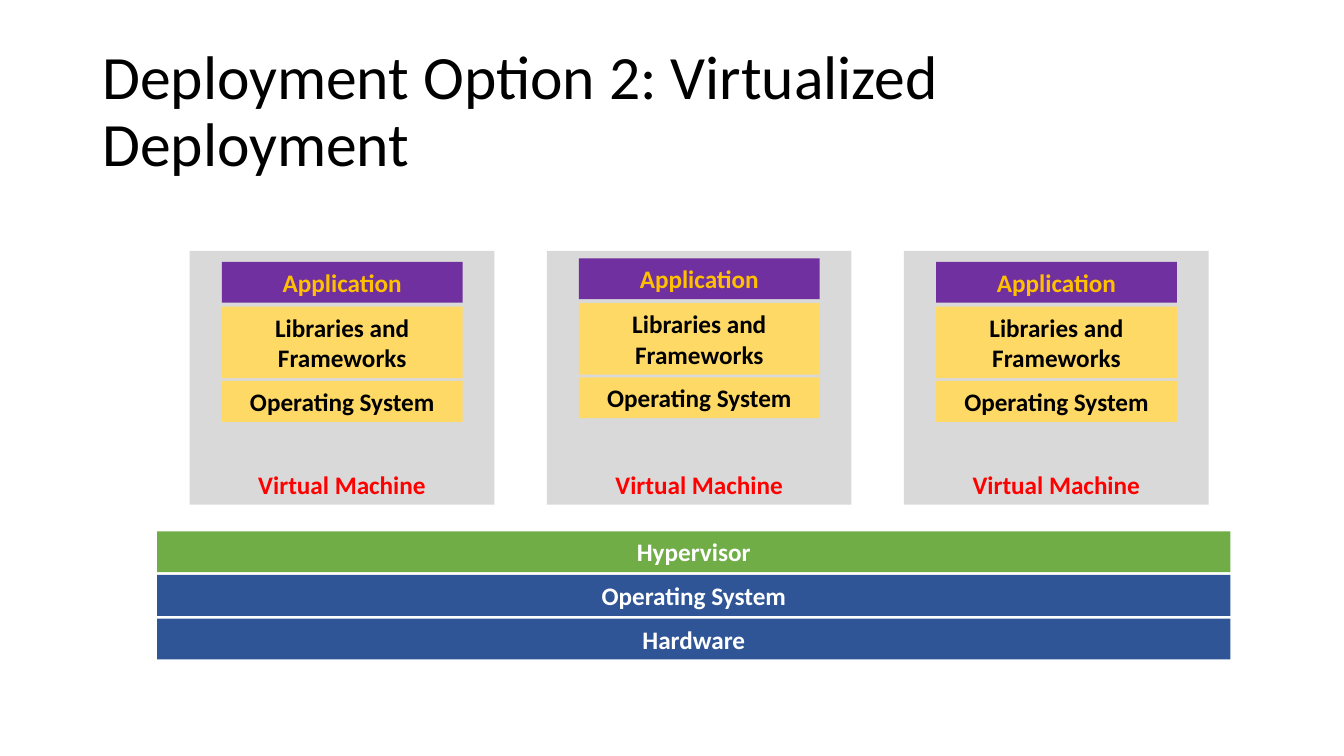
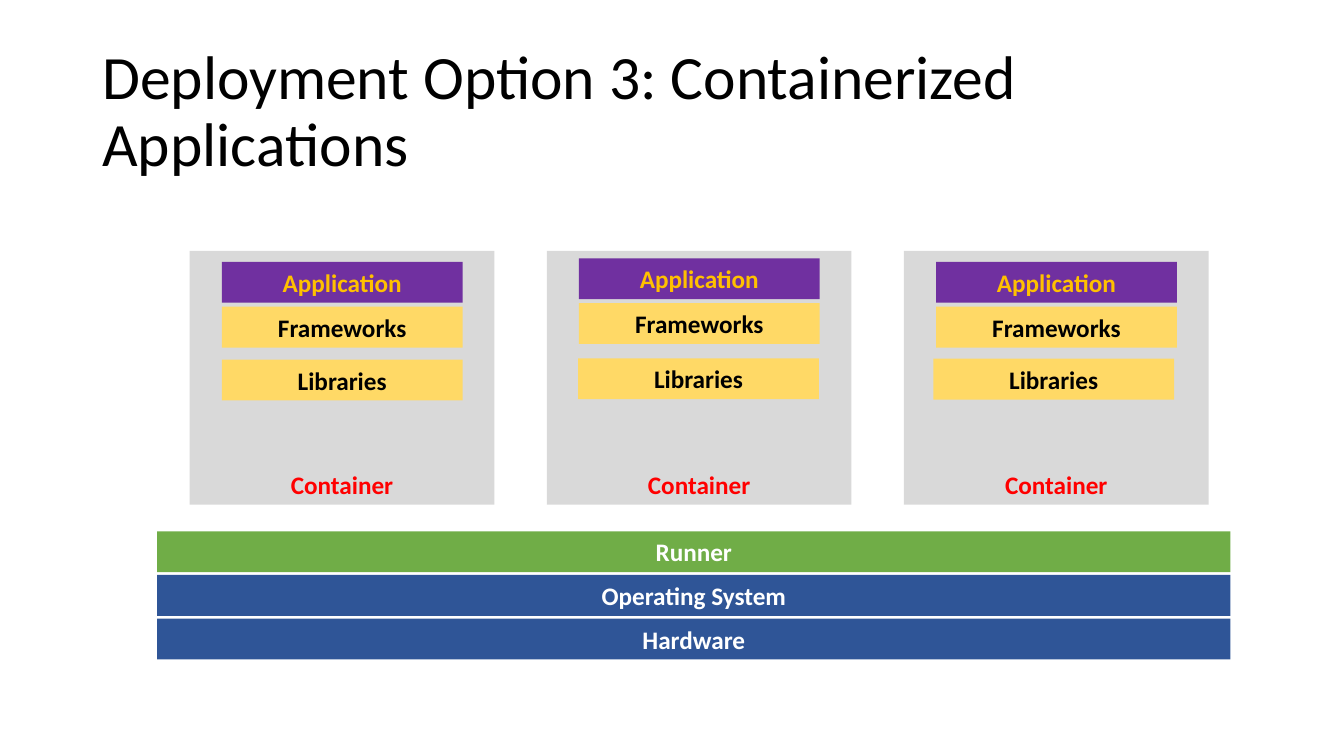
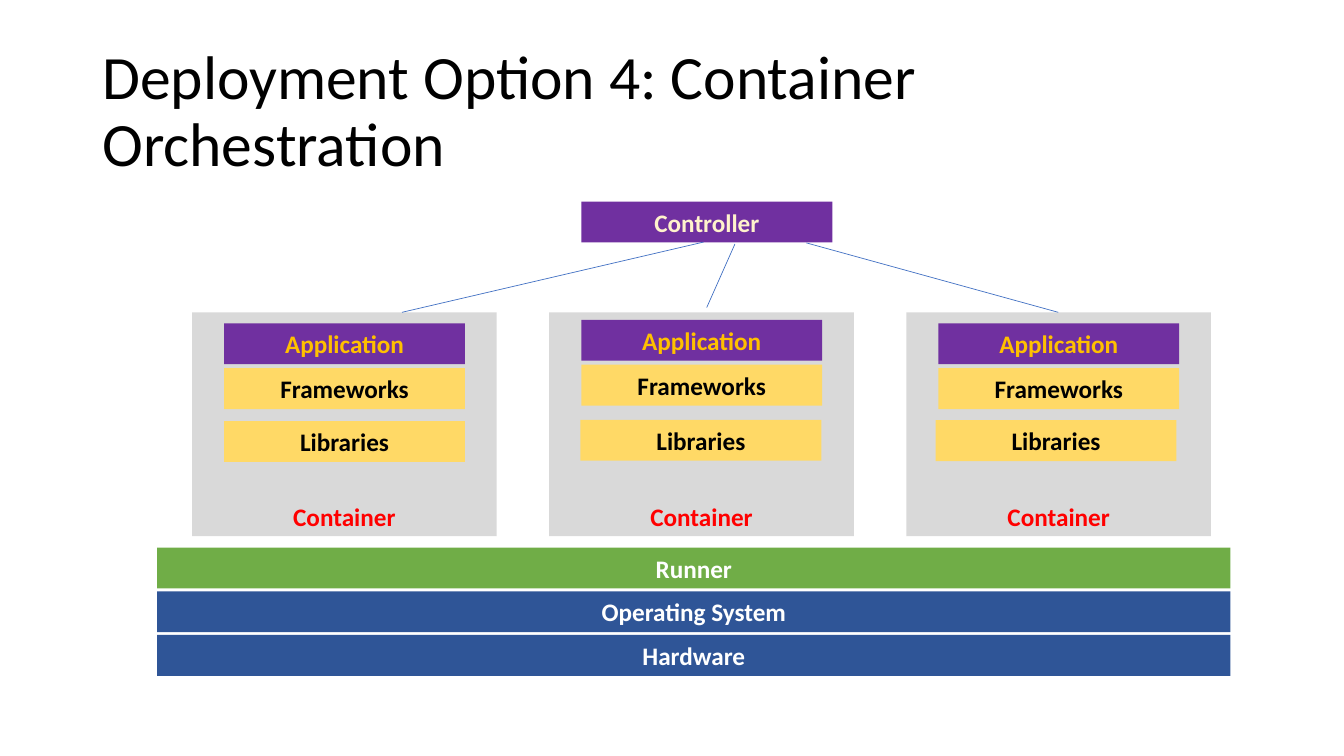
from dataclasses import dataclass

import lxml.etree
import pptx
import pptx.dml.color
import pptx.enum.shapes
import pptx.enum.text
import pptx.oxml.ns
import pptx.shapes.autoshape
import pptx.shapes.shapetree
import pptx.slide
import pptx.util
from pptx.util import Cm

Shapes = pptx.shapes.shapetree.SlideShapes | pptx.shapes.shapetree.GroupShapes
Point = tuple[float, float]


@dataclass(frozen=True)
class Theme:
    font: str = "Calibri"
    title_size: float = 44
    label_size: float = 18
    line_width: float = 0.5
    black: str = "000000"
    white: str = "FFFFFF"
    blue: str = "2F5597"
    green: str = "70AD47"
    grey: str = "D9D9D9"
    purple: str = "7030A0"
    yellow: str = "FFD966"
    gold: str = "FFC000"
    cream: str = "FFF2CC"
    red: str = "FF0000"
    line: str = "4472C4"


@dataclass(frozen=True)
class Box:
    left: float
    top: float
    width: float
    height: float


@dataclass(frozen=True)
class Layer:
    text: str
    offset: float
    height: float
    fill: str
    color: str
    nudges: tuple[Point, ...] = ((0, 0), (0, 0), (0, 0))


@dataclass(frozen=True)
class Deployment:
    title: str
    panel_label: str
    layers: tuple[Layer, ...]
    platform: str
    first_panel: Box
    platform_top: float


@dataclass(frozen=True)
class Link:
    start: Point
    end: Point


THEME = Theme()
TITLE_BOX = Box(2.33, 1.01, 29.21, 3.68)
BAR_HEIGHT = 1.03
BAR_LEFT, BAR_WIDTH, BAR_PITCH = 3.96, 27.05, 1.1
PANEL_PITCH = 9.0
PANEL_LIFTS = (0, 0.09, 0)
LAYER_INSET, LAYER_WIDTH = 0.81, 6.07

APPLICATION = Layer("Application", 0.28, BAR_HEIGHT, THEME.purple, THEME.gold)
MACHINE_LAYERS = (
    APPLICATION,
    Layer("Libraries and Frameworks", 1.41, 1.8, THEME.yellow, THEME.black),
    Layer("Operating System", 3.28, BAR_HEIGHT, THEME.yellow, THEME.black),
)
CONTAINER_LAYERS = (
    APPLICATION,
    Layer("Frameworks", 1.41, BAR_HEIGHT, THEME.yellow, THEME.black),
    Layer("Libraries", 2.74, BAR_HEIGHT, THEME.yellow, THEME.black,
          ((0, 0), (-0.02, 0.06), (-0.07, -0.02))),
)
TALL_PANEL = Box(4.78, 6.32, 7.68, 6.4)
SHORT_PANEL = Box(4.84, 7.87, 7.68, 5.64)

DEPLOYMENTS = (
    Deployment("Deployment Option 2: Virtualized Deployment", "Virtual Machine",
               MACHINE_LAYERS, "Hypervisor", TALL_PANEL, 13.39),
    Deployment("Deployment Option 3: Containerized Applications", "Container",
               CONTAINER_LAYERS, "Runner", TALL_PANEL, 13.39),
    Deployment("Deployment Option 4: Container Orchestration", "Container",
               CONTAINER_LAYERS, "Runner", SHORT_PANEL, 13.8),
)
ORCHESTRATOR_BOX = Box(14.65, 5.08, 6.33, BAR_HEIGHT)
ORCHESTRATOR_LINKS = (
    Link((17.73, 6.1), (10.13, 7.87)),
    Link((18.52, 6.15), (17.81, 7.75)),
    Link((20.32, 6.12), (26.67, 7.87)),
)


def rgb(color: str) -> pptx.dml.color.RGBColor:
    return pptx.dml.color.RGBColor.from_string(color)


def place(box: Box) -> tuple[Cm, Cm, Cm, Cm]:
    return Cm(box.left), Cm(box.top), Cm(box.width), Cm(box.height)


def write(shape: pptx.shapes.autoshape.Shape, text: str, size: float, color: str,
          bold: bool = False) -> None:
    shape.text_frame.text = text
    shape.text_frame.word_wrap = True
    shape.text_frame.vertical_anchor = pptx.enum.text.MSO_ANCHOR.MIDDLE
    font = shape.text_frame.paragraphs[0].runs[0].font
    font.name = THEME.font
    font.size = pptx.util.Pt(size)
    font.bold = bold
    font.color.rgb = rgb(color)


def draw_title(slide: pptx.slide.Slide, text: str) -> None:
    shape = slide.shapes.add_textbox(*place(TITLE_BOX))
    write(shape, text, THEME.title_size, THEME.black)
    shape.text_frame.paragraphs[0].line_spacing = 0.9


def draw_block(shapes: Shapes, box: Box, text: str, fill: str,
               color: str) -> pptx.shapes.autoshape.Shape:
    shape = shapes.add_shape(pptx.enum.shapes.MSO_SHAPE.RECTANGLE, *place(box))
    shape.shadow.inherit = False
    shape.fill.solid()
    shape.fill.fore_color.rgb = rgb(fill)
    shape.line.fill.background()
    write(shape, text, THEME.label_size, color, bold=True)
    shape.text_frame.paragraphs[0].alignment = pptx.enum.text.PP_ALIGN.CENTER
    return shape


def draw_panel(slide: pptx.slide.Slide, deployment: Deployment, index: int) -> None:
    shapes = slide.shapes.add_group_shape().shapes
    first = deployment.first_panel
    left = first.left + index * PANEL_PITCH
    panel = draw_block(shapes, Box(left, first.top, first.width, first.height),
                       deployment.panel_label, THEME.grey, THEME.red)
    panel.text_frame.vertical_anchor = pptx.enum.text.MSO_ANCHOR.BOTTOM
    for layer in deployment.layers:
        across, down = layer.nudges[index]
        box = Box(left + LAYER_INSET + across,
                  first.top + layer.offset - PANEL_LIFTS[index] + down,
                  LAYER_WIDTH, layer.height)
        draw_block(shapes, box, layer.text, layer.fill, layer.color)


def draw_platform(slide: pptx.slide.Slide, deployment: Deployment) -> None:
    bars = ((deployment.platform, THEME.green), ("Operating System", THEME.blue),
            ("Hardware", THEME.blue))
    for index, (text, fill) in enumerate(bars):
        top = deployment.platform_top + index * BAR_PITCH
        draw_block(slide.shapes, Box(BAR_LEFT, top, BAR_WIDTH, BAR_HEIGHT),
                   text, fill, THEME.white)


def draw_link(slide: pptx.slide.Slide, link: Link) -> None:
    connector = slide.shapes.add_connector(
        pptx.enum.shapes.MSO_CONNECTOR.STRAIGHT,
        *(Cm(value) for value in link.start + link.end))
    connector.line.color.rgb = rgb(THEME.line)
    connector.line.width = pptx.util.Pt(THEME.line_width)
    lxml.etree.SubElement(connector._element.spPr, pptx.oxml.ns.qn("a:effectLst"))


def draw_deployment(presentation: pptx.presentation.Presentation,
                    deployment: Deployment) -> pptx.slide.Slide:
    slide = presentation.slides.add_slide(presentation.slide_layouts[6])
    draw_title(slide, deployment.title)
    draw_platform(slide, deployment)
    for index in range(len(PANEL_LIFTS)):
        draw_panel(slide, deployment, index)
    return slide


def main() -> None:
    presentation = pptx.Presentation()
    presentation.slide_width = Cm(33.87)
    presentation.slide_height = Cm(19.05)
    slides = [draw_deployment(presentation, deployment) for deployment in DEPLOYMENTS]
    draw_block(slides[-1].shapes, ORCHESTRATOR_BOX, "Controller",
               THEME.purple, THEME.cream)
    for link in ORCHESTRATOR_LINKS:
        draw_link(slides[-1], link)
    presentation.save("out.pptx")


if __name__ == "__main__":
    main()
